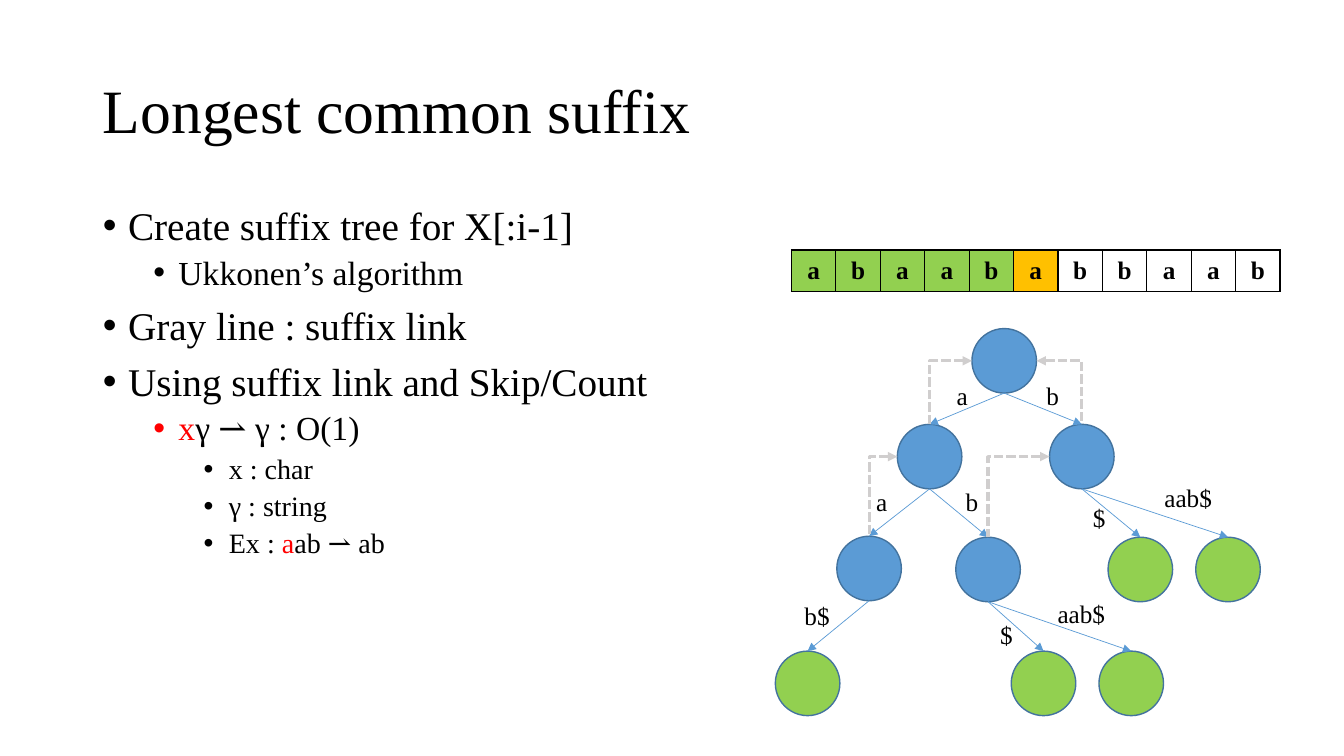
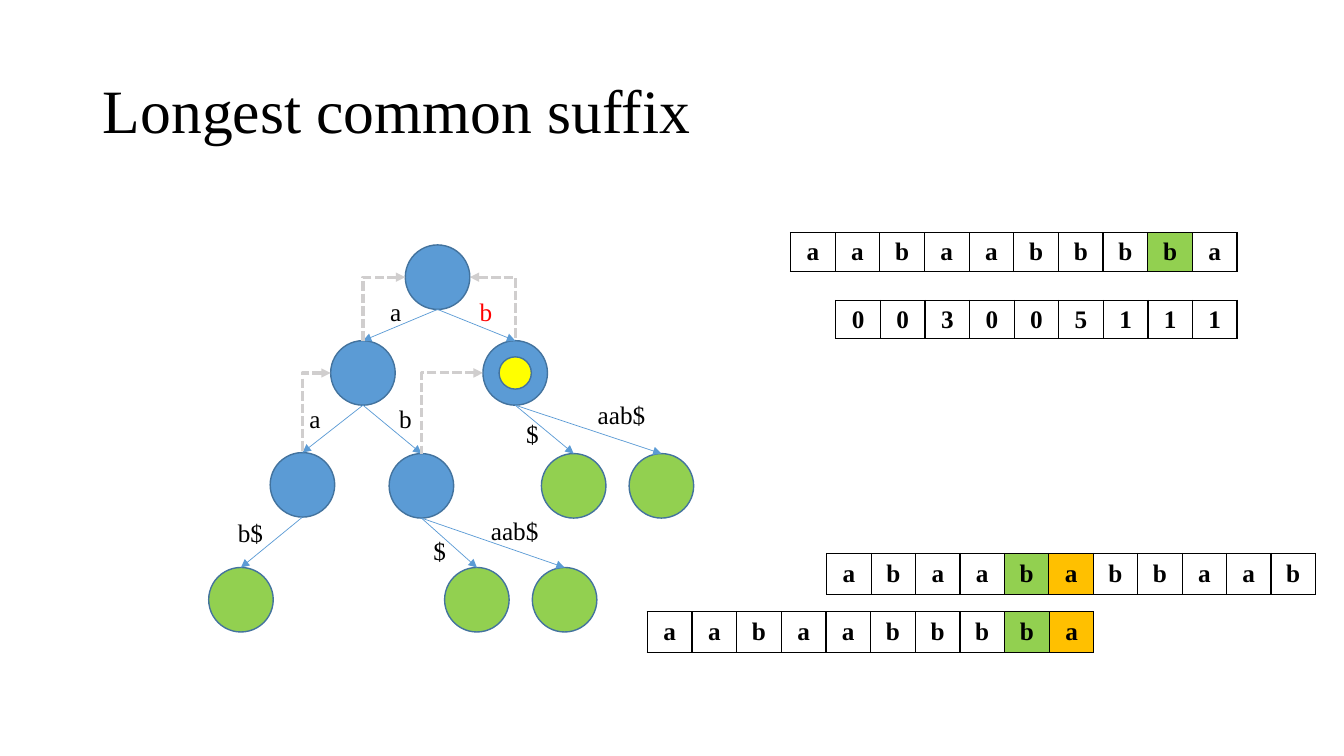
from lxml import etree
from pptx import Presentation
from pptx.dml.color import RGBColor
from pptx.enum import dml, shapes, text
from pptx.oxml.ns import qn
from pptx.util import Inches, Pt

COLORS = {
    "ink": "000000", "red": "FF0000", "blue": "5B9BD5", "rim": "43739E",
    "green": "92D050", "gold": "FFC000", "yellow": "FFFF00", "gray": "D0CECE",
}
FONT = "Times New Roman"
TITLE = "Longest common suffix"
TITLE_BOX = (0.92, 0.4, 11.5, 1.45)
BODY_BOX = (0.92, 2, 11.5, 4.76)

# level, then runs of (text, color)
POINTS = [
    (0, [("Create suffix tree for X[:i-1]", "ink")]),
    (1, [("Ukkonen’s algorithm", "ink")]),
    (0, [("Gray line : suffix link", "ink")]),
    (0, [("Using suffix link and Skip/Count", "ink")]),
    (1, [("x", "red"), ("γ ⇀ γ : O(1)", "ink")]),
    (2, [("x : char", "ink")]),
    (2, [("γ : string", "ink")]),
    (2, [("Ex : ", "ink"), ("a", "red"), ("ab ⇀ ab", "ink")]),
]
SIZES = [28, 24, 20]
GAPS = [10, 5, 5]

NODE = 0.64
DOT = 0.32
# name: left, top, color
NODES = {
    "root": (9.64, 3.26, "blue"),
    "a": (8.9, 4.21, "blue"),
    "b": (10.41, 4.21, "blue"),
    "aa": (8.3, 5.32, "blue"),
    "ab": (9.48, 5.33, "blue"),
    "b$": (10.99, 5.33, "green"),
    "baab$": (11.86, 5.33, "green"),
    "aab$": (7.69, 6.46, "green"),
    "ab$": (10.03, 6.46, "green"),
    "abaab$": (10.9, 6.46, "green"),
}
# parent, child, label, label left, label top
EDGES = [
    ("root", "a", "a", 9.39, 3.72),
    ("root", "b", "b", 10.28, 3.72),
    ("a", "aa", "a", 8.59, 4.78),
    ("a", "ab", "b", 9.48, 4.78),
    ("b", "b$", "$", 10.74, 4.93),
    ("b", "baab$", "aab$", 11.45, 4.74),
    ("aa", "aab$", "b$", 7.88, 5.91),
    ("ab", "ab$", "$", 9.82, 6.09),
    ("ab", "abaab$", "aab$", 10.39, 5.89),
]
WIDTHS = {"a": 0.31, "b": 0.33, "$": 0.33, "b$": 0.45, "aab$": 0.68}
# from, to, side of the target
LINKS = [("b", "root", "right"), ("a", "root", "left"),
         ("aa", "a", "left"), ("ab", "b", "left")]
SITES = {"top": 0, "left": 2, "bottom": 4, "right": 6}
SHIFT = (-5.62, -0.83)

# letters, fills (g green, o gold), left, top, width, height
FIRST = [("abaababbaab", "gggggo.....", 7.85, 2.48, 4.85, 0.41)]
SECOND = [
    ("aabaabbbba", "........g.", 7.84, 2.31, 4.43, 0.38),
    ("003005111", ".........", 8.29, 2.98, 3.98, 0.38),
    ("aabaabbbba", "........go", 6.42, 6.07, 4.43, 0.4),
    ("abaababbaab", "....go.....", 8.2, 5.49, 4.85, 0.41),
]
FILLS = {"g": "green", "o": "gold"}


def rgb(name):
    return RGBColor.from_string(COLORS[name])


def put(obj, **vals):
    for key, val in vals.items():
        setattr(obj, key, val)


def add_run(para, words, size, color="ink", bold=False):
    run = para.add_run()
    run.text = words
    put(run.font, name=FONT, size=Pt(size), bold=bold)
    run.font.color.rgb = rgb(color)


def place(shape, box):
    put(shape, **dict(zip(("left", "top", "width", "height"), map(Inches, box))))


def add_page(deck, layout):
    page = deck.slides.add_slide(deck.slide_layouts[layout])
    title = page.shapes.title
    place(title, TITLE_BOX)
    put(title.text_frame, vertical_anchor=text.MSO_ANCHOR.MIDDLE,
        auto_size=text.MSO_AUTO_SIZE.NONE)
    para = title.text_frame.paragraphs[0]
    put(para, alignment=text.PP_ALIGN.LEFT, line_spacing=0.9)
    add_run(para, TITLE, 44)
    return page


def add_points(page):
    body = page.placeholders[1]
    place(body, BODY_BOX)
    frame = body.text_frame
    frame.auto_size = text.MSO_AUTO_SIZE.NONE
    for i, (level, runs) in enumerate(POINTS):
        para = frame.add_paragraph() if i else frame.paragraphs[0]
        put(para, level=level, line_spacing=0.9,
            space_before=Pt(GAPS[level] if i else 0))
        props = para._p.get_or_add_pPr()
        props.set("marL", str(Inches(0.25 + 0.5 * level)))
        props.set("indent", str(Inches(-0.25)))
        etree.SubElement(props, qn("a:buFont"), typeface="Arial")
        etree.SubElement(props, qn("a:buChar"), char="•")
        for words, color in runs:
            add_run(para, words, SIZES[level], color)


def add_disc(page, x, y, size, color):
    disc = page.shapes.add_shape(
        shapes.MSO_SHAPE.OVAL, *map(Inches, (x, y, size, size)))
    disc.shadow.inherit = False
    disc.fill.solid()
    disc.fill.fore_color.rgb = rgb(color)
    disc.line.color.rgb = rgb("rim")
    disc.line.width = Pt(1)
    return disc


def spot(disc, side):
    """Point at the middle of one side of a disc."""
    x, y = disc.left + disc.width // 2, disc.top + disc.height // 2
    return {"top": (x, disc.top), "bottom": (x, disc.top + disc.height),
            "left": (disc.left, y), "right": (disc.left + disc.width, y)}[side]


def join(page, kind, start, end, color, width, arrow):
    """Glue a connector to two (disc, side) ends."""
    line = page.shapes.add_connector(kind, *spot(*start), *spot(*end))
    line.line.color.rgb = rgb(color)
    line.line.width = Pt(width)
    ends = line._element.find(".//" + qn("p:cNvCxnSpPr"))
    for tag, (disc, side) in (("a:stCxn", start), ("a:endCxn", end)):
        etree.SubElement(ends, qn(tag), id=str(disc.shape_id), idx=str(SITES[side]))
    if kind == shapes.MSO_CONNECTOR.ELBOW:
        line.line.dash_style = dml.MSO_LINE.SQUARE_DOT
        line._element.spPr.find(qn("a:prstGeom")).set("prst", "bentConnector2")
    etree.SubElement(line.line._get_or_add_ln(), qn(arrow), type="triangle")
    etree.SubElement(line._element.spPr, qn("a:effectLst"))


def add_label(page, words, x, y, color):
    box = page.shapes.add_textbox(*map(Inches, (x, y, WIDTHS[words], 0.4)))
    put(box.text_frame, word_wrap=False,
        auto_size=text.MSO_AUTO_SIZE.SHAPE_TO_FIT_TEXT)
    add_run(box.text_frame.paragraphs[0], words, 18, color)


def add_tree(page, dx=0, dy=0, active=None):
    """Draw the suffix tree; the active node gets a dot and a red label."""
    discs = {name: add_disc(page, x + dx, y + dy, NODE, color)
             for name, (x, y, color) in NODES.items()}
    for parent, child, words, x, y in EDGES:
        join(page, shapes.MSO_CONNECTOR.STRAIGHT, (discs[parent], "bottom"),
             (discs[child], "top"), "blue", 0.5, "a:tailEnd")
        add_label(page, words, x + dx, y + dy, "red" if child == active else "ink")
    for low, high, side in LINKS:
        join(page, shapes.MSO_CONNECTOR.ELBOW, (discs[high], side),
             (discs[low], "top"), "gray", 2.25, "a:headEnd")
    if active:
        x, y, _ = NODES[active]
        inset = (NODE - DOT) / 2
        add_disc(page, x + dx + inset, y + dy + inset, DOT, "yellow")


def add_border(cell):
    props = cell._tc.get_or_add_tcPr()
    for i, side in enumerate(("lnL", "lnR", "lnT", "lnB")):
        edge = etree.Element(qn("a:" + side), w=str(Pt(1)))
        fill = etree.SubElement(edge, qn("a:solidFill"))
        etree.SubElement(fill, qn("a:srgbClr"), val=COLORS["ink"])
        props.insert(i, edge)


def add_strip(page, letters, marks, x, y, width, height):
    table = page.shapes.add_table(
        1, len(letters), *map(Inches, (x, y, width, height))).table
    put(table, first_row=False, horz_banding=False)
    for col, cell, letter, mark in zip(
            table.columns, table.rows[0].cells, letters, marks):
        col.width = Inches(width) // len(letters)
        put(cell, vertical_anchor=text.MSO_ANCHOR.MIDDLE,
            margin_top=Inches(0.04), margin_bottom=Inches(0.04))
        if mark in FILLS:
            cell.fill.solid()
            cell.fill.fore_color.rgb = rgb(FILLS[mark])
        else:
            cell.fill.background()
        add_border(cell)
        para = cell.text_frame.paragraphs[0]
        para.alignment = text.PP_ALIGN.CENTER
        add_run(para, letter, 18, bold=True)


def main():
    deck = Presentation()
    put(deck, slide_width=Inches(13.33), slide_height=Inches(7.5))

    page = add_page(deck, 1)
    add_points(page)
    add_tree(page)
    for strip in FIRST:
        add_strip(page, *strip)

    page = add_page(deck, 5)
    add_tree(page, *SHIFT, active="b")
    for strip in SECOND:
        add_strip(page, *strip)

    deck.save("out.pptx")


if __name__ == "__main__":
    main()
